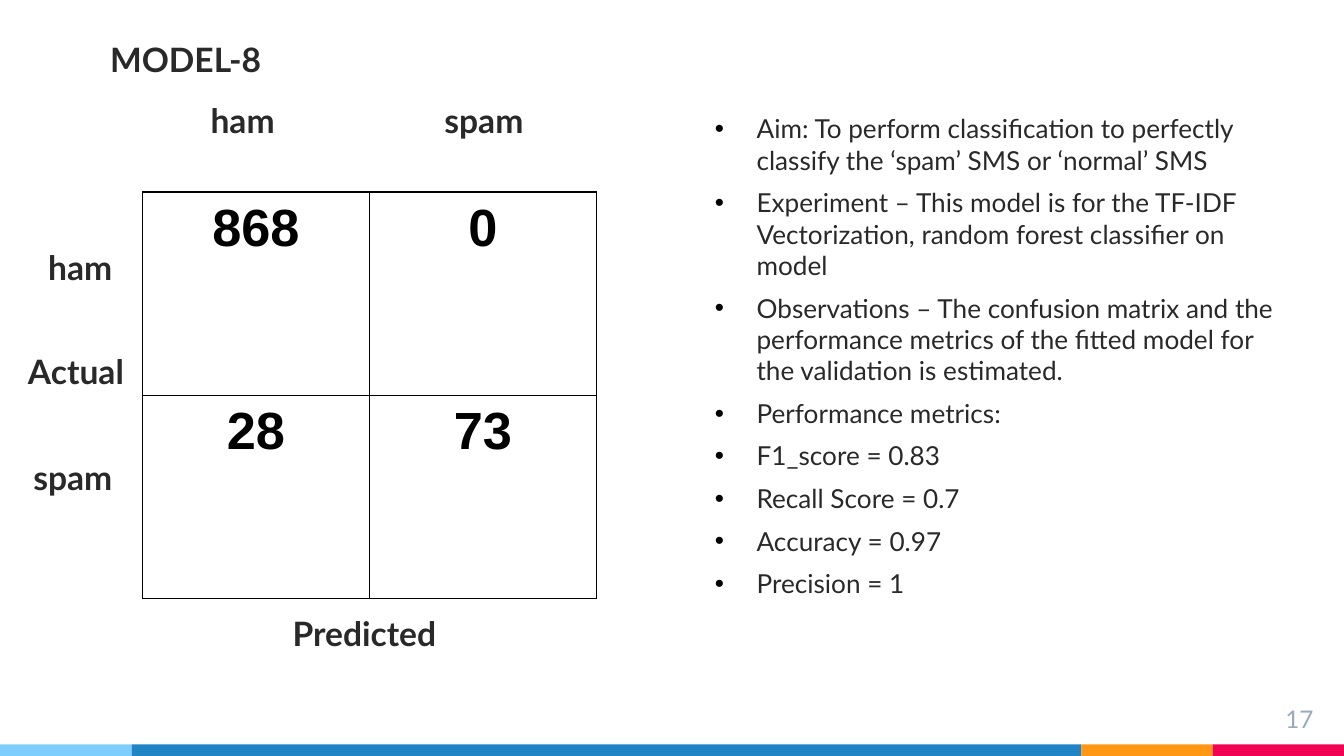
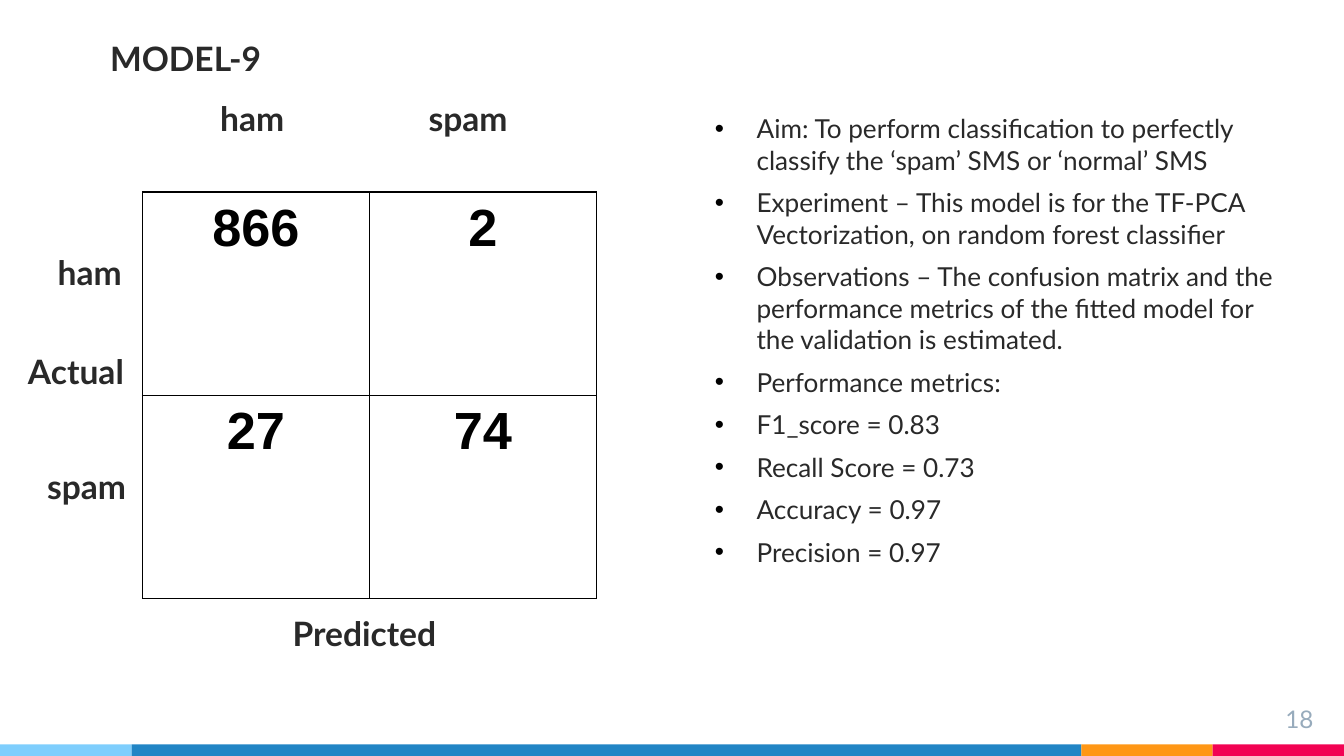
from dataclasses import dataclass
from typing import NamedTuple

from lxml.etree import SubElement
from pptx import Presentation
from pptx.dml.color import RGBColor
from pptx.enum.shapes import MSO_SHAPE
from pptx.enum.text import PP_ALIGN
from pptx.oxml.ns import qn
from pptx.slide import Slide
from pptx.text.text import TextFrame
from pptx.util import Cm, Pt

BLACK = RGBColor(0x00, 0x00, 0x00)
INK = RGBColor(0x29, 0x29, 0x29)
PAGE_GREY = RGBColor(0x97, 0xAB, 0xBC)
SKY = RGBColor(0x7E, 0xCE, 0xFD)
BLUE = RGBColor(0x21, 0x85, 0xC5)
ORANGE = RGBColor(0xFF, 0x97, 0x15)
CRIMSON = RGBColor(0xF2, 0x02, 0x53)

BODY_FONT = "Lato"
TABLE_FONT = "Arial"
SLIDE_W, SLIDE_H = 25.4, 14.29
BAND_H = 0.22
BANDS = [(2.49, SKY), (17.95, BLUE), (2.48, ORANGE), (2.48, CRIMSON)]
COL_W, ROW_H = 4.29, 3.84
BULLET_INDENT = 0.79


class Box(NamedTuple):
    left: float
    top: float
    width: float
    height: float = 1.73


class Style(NamedTuple):
    size: int
    color: RGBColor
    bold: bool = False
    font: str = BODY_FONT
    align: PP_ALIGN = PP_ALIGN.LEFT


LABEL = Style(18, INK, bold=True)
BODY = Style(14, INK)
PAGE = Style(13, PAGE_GREY, align=PP_ALIGN.RIGHT)
COUNT = Style(28, BLACK, bold=True, font=TABLE_FONT, align=PP_ALIGN.CENTER)


@dataclass
class ModelSlide:
    page: int
    title: str
    title_top: float
    matrix: list[list[int]]
    column_top: float
    ham_column: float
    spam_column: float
    ham_row: tuple[float, float]
    spam_row: tuple[float, float]
    experiment: str
    f1: str
    recall: str
    accuracy: str
    precision: str

    def labels(self) -> list[tuple[str, Box]]:
        return [
            (self.title, Box(1.83, self.title_top, 5.16)),
            ("spam", Box(self.spam_column, self.column_top, 2.29)),
            ("ham", Box(self.ham_column, self.column_top, 2.29, 1.55)),
            ("spam", Box(*self.spam_row, 2.36)),
            ("ham", Box(*self.ham_row, 1.96)),
            ("Actual", Box(0.28, 6.38, 2.36)),
            ("Predicted", Box(5.28, 11.33, 5.16)),
        ]

    def bullets(self) -> list[str]:
        return [
            "Aim: To perform classification to perfectly classify the ‘spam’ SMS or ‘normal’ SMS",
            f"Experiment – {self.experiment}",
            "Observations – The confusion matrix and the performance metrics of the "
            "fitted model for the validation is estimated.",
            "Performance metrics:",
            f"F1_score = {self.f1}",
            f"Recall Score = {self.recall}",
            f"Accuracy = {self.accuracy}",
            f"Precision = {self.precision}",
        ]


MODELS = [
    ModelSlide(
        page=17, title="MODEL-8", title_top=0.48, matrix=[[868, 0], [28, 73]],
        column_top=1.63, ham_column=3.73, spam_column=8.15,
        ham_row=(0.66, 4.42), spam_row=(0.38, 8.38),
        experiment="This model is for the TF-IDF Vectorization, random forest classifier on model",
        f1="0.83", recall="0.7", accuracy="0.97", precision="1",
    ),
    ModelSlide(
        page=18, title="MODEL-9", title_top=0.46, matrix=[[866, 2], [27, 74]],
        column_top=1.6, ham_column=3.91, spam_column=7.85,
        ham_row=(0.84, 4.52), spam_row=(0.64, 8.56),
        experiment="This model is for the TF-PCA Vectorization, on random forest classifier",
        f1="0.83", recall="0.73", accuracy="0.97", precision="0.97",
    ),
]


def format_text(tf: TextFrame, style: Style) -> None:
    for p in tf.paragraphs:
        p.alignment = style.align
        for r in p.runs:
            r.font.name = style.font
            r.font.size = Pt(style.size)
            r.font.bold = style.bold
            r.font.color.rgb = style.color


def add_text(s: Slide, text: str, box: Box, style: Style) -> TextFrame:
    tf = s.shapes.add_textbox(*map(Cm, box)).text_frame
    tf.word_wrap = True
    tf.margin_left = tf.margin_right = tf.margin_top = tf.margin_bottom = Cm(0.25)
    tf.text = text
    format_text(tf, style)
    return tf


def add_bullets(s: Slide, items: list[str], box: Box) -> None:
    tf = add_text(s, "\n".join(items), box, BODY)
    for i, p in enumerate(tf.paragraphs):
        pPr = p._p.get_or_add_pPr()
        pPr.set("marL", str(Cm(BULLET_INDENT)))
        pPr.set("indent", str(-Cm(BULLET_INDENT)))
        color = SubElement(pPr, qn("a:buClr"))
        SubElement(color, qn("a:srgbClr"), val=str(BLACK))
        SubElement(pPr, qn("a:buFont"), typeface=TABLE_FONT)
        SubElement(pPr, qn("a:buChar"), char="•")
        p.space_before = Pt(6 if i else 0)


def add_matrix(s: Slide, matrix: list[list[int]], left: float, top: float) -> None:
    rows, cols = len(matrix), len(matrix[0])
    frame = s.shapes.add_table(
        rows, cols, Cm(left), Cm(top), Cm(cols * COL_W), Cm(rows * ROW_H)
    )
    table = frame.table
    table.first_row = table.horz_banding = False
    for r, counts in enumerate(matrix):
        for c, count in enumerate(counts):
            cell = table.cell(r, c)
            cell.text = str(count)
            format_text(cell.text_frame, COUNT)
            tcPr = cell._tc.get_or_add_tcPr()
            for side in ("lnL", "lnR", "lnT", "lnB"):
                line = SubElement(tcPr, qn(f"a:{side}"), w=str(Pt(0.75)))
                fill = SubElement(line, qn("a:solidFill"))
                SubElement(fill, qn("a:srgbClr"), val=str(BLACK))
            cell.fill.background()


def add_footer(s: Slide, page: int) -> None:
    left = 0.0
    for width, color in BANDS:
        sp = s.shapes.add_shape(
            MSO_SHAPE.RECTANGLE, Cm(left), Cm(SLIDE_H - BAND_H), Cm(width), Cm(BAND_H)
        )
        sp.shadow.inherit = False
        sp.fill.solid()
        sp.fill.fore_color.rgb = color
        sp.line.fill.background()
        left += width
    add_text(s, str(page), Box(23.55, 13.06, 1.52, 0.86), PAGE)


def add_model_slide(prs: Presentation, model: ModelSlide) -> None:
    s = prs.slides.add_slide(prs.slide_layouts[6])
    add_footer(s, model.page)
    add_matrix(s, model.matrix, 2.69, 3.63)
    add_bullets(s, model.bullets(), Box(13.26, 1.88, 11.51, 10.54))
    for text, box in model.labels():
        add_text(s, text, box, LABEL)


def main() -> None:
    prs = Presentation()
    prs.slide_width, prs.slide_height = Cm(SLIDE_W), Cm(SLIDE_H)
    for model in MODELS:
        add_model_slide(prs, model)
    prs.save("out.pptx")


if __name__ == "__main__":
    main()
